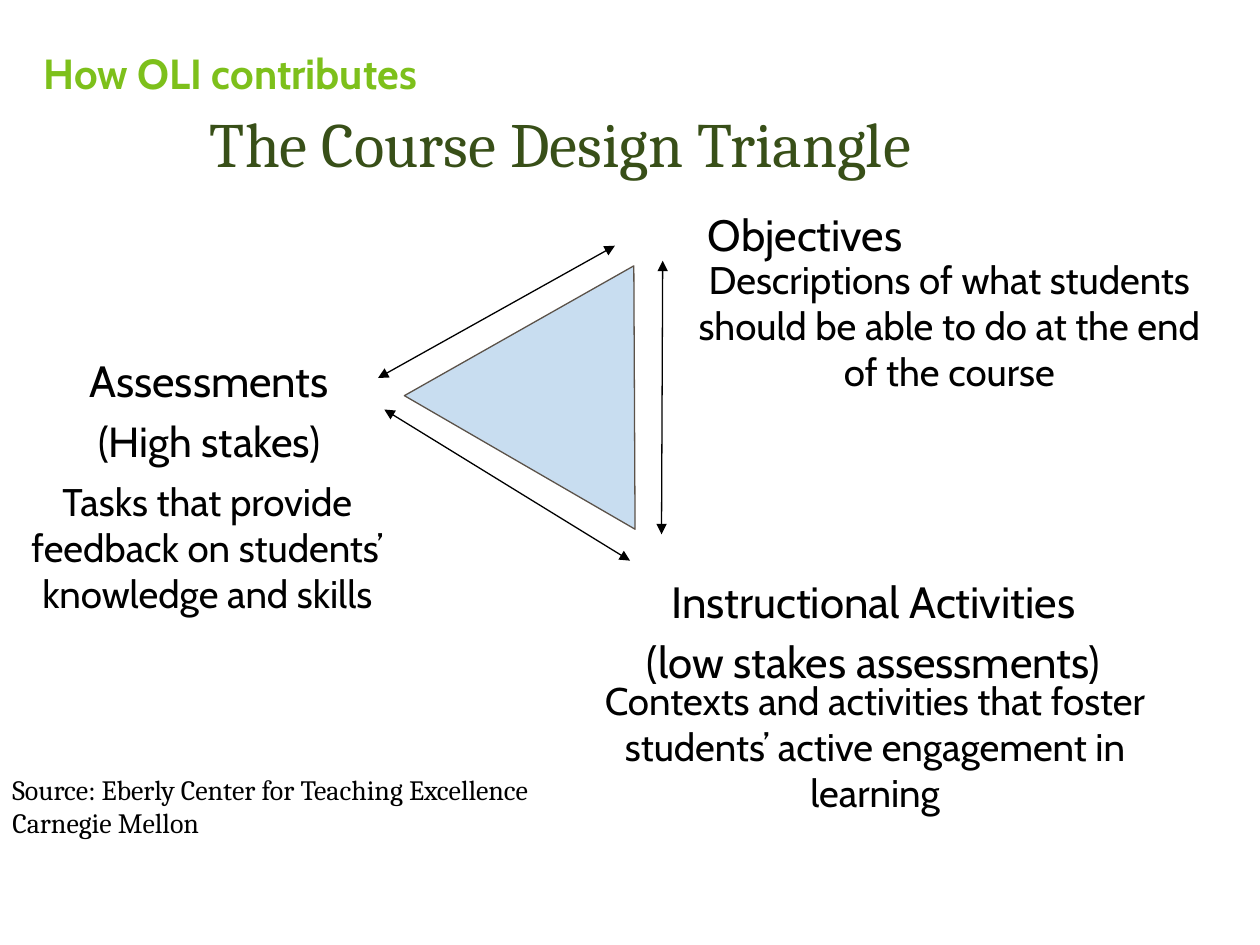
from lxml import etree
from pptx import Presentation
from pptx.dml.color import RGBColor
from pptx.enum.shapes import MSO_CONNECTOR
from pptx.enum.text import MSO_ANCHOR, PP_ALIGN
from pptx.oxml.ns import qn
from pptx.util import Pt

LEFT, CENTER = PP_ALIGN.LEFT, PP_ALIGN.CENTER
TOP, MIDDLE = MSO_ANCHOR.TOP, MSO_ANCHOR.MIDDLE
STRAIGHT = MSO_CONNECTOR.STRAIGHT


def color(value):
    return RGBColor.from_string(value)


def add_text(box, lines, fmt):
    sp = s.shapes.add_textbox(*[Pt(v) for v in box])
    tf = sp.text_frame
    tf.word_wrap = True
    tf.vertical_anchor = fmt["anchor"]
    tf.margin_left = tf.margin_right = Pt(fmt["inset"][0])
    tf.margin_top = tf.margin_bottom = Pt(fmt["inset"][1])
    for i, (text, size) in enumerate(lines):
        p = tf.paragraphs[0] if i == 0 else tf.add_paragraph()
        p.alignment = fmt["align"]
        if fmt["spacing"]:
            p.line_spacing = Pt(fmt["spacing"])
        r = p.add_run()
        r.text = text
        for name, value in {**fmt["font"], "size": Pt(size)}.items():
            setattr(r.font, name, value)
        r.font.color.rgb = color(fmt["color"])


prs = Presentation()
prs.slide_width, prs.slide_height = Pt(720), Pt(540)
s = prs.slides.add_slide(prs.slide_layouts[6])

base = {"anchor": TOP, "inset": (7.2, 3.6), "align": LEFT, "spacing": None,
        "font": {"name": "Cabin"}, "color": "000000"}
source = {**base, "font": {"name": "Cambria"}}
title = {**source, "anchor": MIDDLE, "inset": (0, 0), "color": "384F18"}
heading = {**base, "inset": (0, 0), "align": CENTER, "spacing": 34.2}
body = {**base, "inset": (6.5, 3), "align": CENTER}
kicker = {**base, "font": {"name": "Cabin", "bold": True}, "color": "7DC01B"}

texts = [
    ((120, 60.5, 486, 42), [("The Course Design Triangle", 36)], title),
    ((0, 437.8, 534, 29), [("Source: Eberly Center for Teaching Excellence", 16),
                           ("Carnegie Mellon", 16)], source),
    ((329.8, 324, 338.4, 65.5), [("Instructional Activities", 25),
                                 ("(low stakes assessments)", 25)], heading),
    ((369.4, 114.5, 181.4, 34.5), [("Objectives", 25)], heading),
    ((22.3, 198, 194.4, 68.4), [("Assessments", 25), ("(High stakes)", 24)], heading),
    ((0, 270, 236.9, 86.4),
     [("Tasks that provide feedback on students’ knowledge and skills", 22)], body),
    ((388.8, 143.3, 307.4, 85.7),
     [("Descriptions of what students should be able to do at the end of the course", 22)], body),
    ((331.2, 383.8, 337.7, 85.7),
     [("Contexts and activities that foster students’ active engagement in learning", 22)], body),
    ((18, 23.8, 414, 36), [("How OLI contributes", 24)], kicker),
]
for box, lines, fmt in texts:
    add_text(box, lines, fmt)

corners = [(Pt(x), Pt(y)) for x, y in [(362.2, 151.9), (231.1, 226.1), (362.9, 302.4)]]
fb = s.shapes.build_freeform(*corners[0])
fb.add_line_segments(corners[1:], close=True)
triangle = fb.convert_to_shape()
triangle.shadow.inherit = False
triangle.fill.solid()
triangle.fill.fore_color.rgb = color("C8DDF0")
triangle.line.color.rgb = color("5B5249")
triangle.line.width = Pt(0.75)

arrows = [(219.6, 234, 360, 320.4), (216, 216, 351.4, 140.4), (378, 305.3, 378.7, 149)]
for ends in arrows:
    arrow = s.shapes.add_connector(STRAIGHT, *[Pt(v) for v in ends])
    arrow.line.color.rgb = color("000000")
    arrow.line.width = Pt(0.75)
    for tag in ("a:headEnd", "a:tailEnd"):
        etree.SubElement(arrow.line._get_or_add_ln(), qn(tag), type="triangle")
    etree.SubElement(arrow._element.spPr, qn("a:effectLst"))

prs.save("out.pptx")
